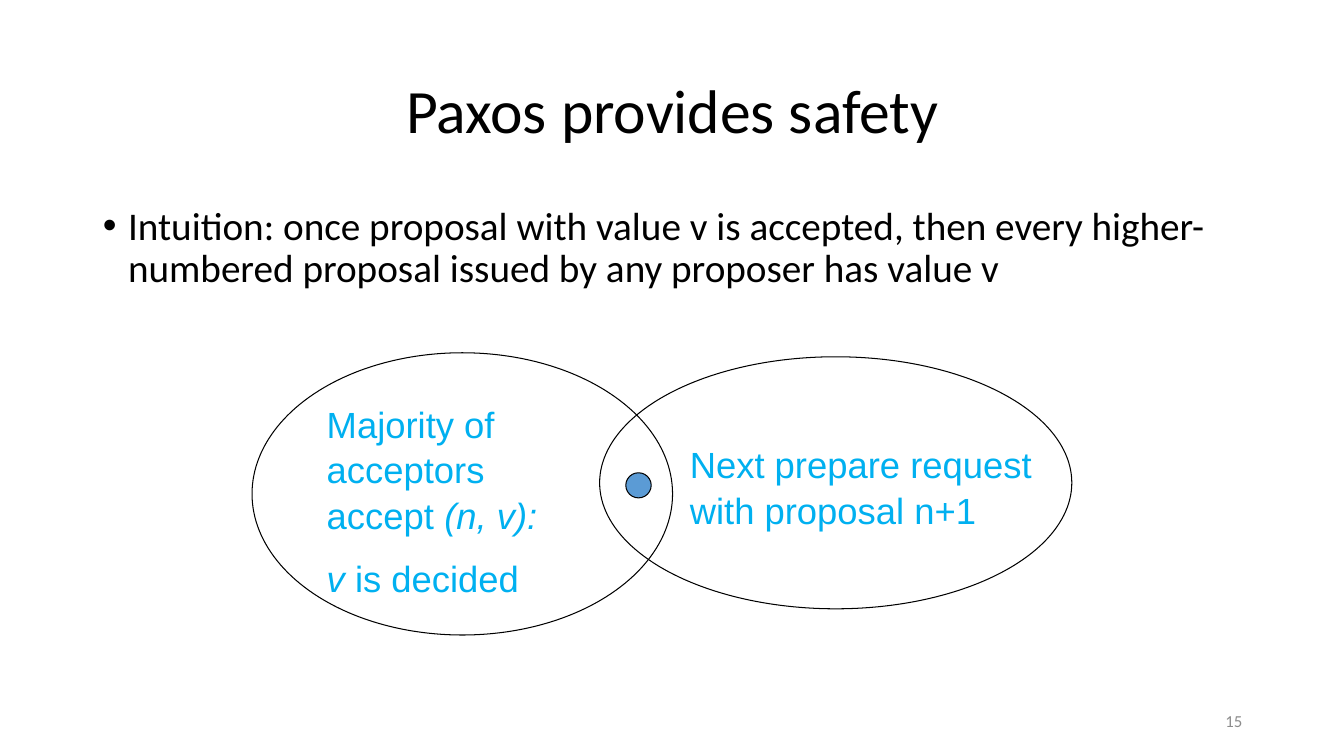
from pptx import Presentation
from pptx.dml.color import RGBColor
from pptx.enum.shapes import MSO_SHAPE
from pptx.enum.text import MSO_ANCHOR, PP_ALIGN
from pptx.util import Inches, Pt

INK = {"black": "000000", "white": "FFFFFF", "sky": "00B0F0", "blue": "5B9BD5", "gray": "8C8C8C"}
HEAD = {"name": "Calibri", "size": Pt(44), "color": "black"}
BODY = {**HEAD, "size": Pt(28)}
NOTE = {"name": "Arial", "size": Pt(26), "color": "sky"}
FOOT = {"name": "Calibri", "size": Pt(12), "color": "gray"}


def put(item, fmt):
    """Set each attribute in a dict of format values."""
    for key, val in fmt.items():
        if key == "color":
            item.color.rgb = RGBColor.from_string(INK[val])
        else:
            setattr(item, key, val)


def place(shape, box):
    """Move a shape to a box in inches."""
    put(shape, dict(zip(("left", "top", "width", "height"), map(Inches, box))))


def write(frame, paras, font, **para):
    """Fill a frame with paragraphs of (text, italic) runs."""
    frame.word_wrap = True
    for i, runs in enumerate(paras):
        line = frame.add_paragraph() if i else frame.paragraphs[0]
        put(line, para)
        for text, slant in runs:
            run = line.add_run()
            run.text = text
            put(run.font, {**font, "italic": slant})


def label(slide, box, paras, font, **para):
    """Add a text box."""
    frame = slide.shapes.add_textbox(*map(Inches, box)).text_frame
    write(frame, paras, font, **para)
    return frame


def oval(slide, box, fill=None):
    """Add a thin black ellipse with an optional fill."""
    shape = slide.shapes.add_shape(MSO_SHAPE.OVAL, *map(Inches, box))
    shape.shadow.inherit = False
    put(shape.line, {"color": "black", "width": Pt(0.75)})
    if fill:
        shape.fill.solid()
        shape.fill.fore_color.rgb = RGBColor.from_string(INK[fill])
    else:
        shape.fill.background()


def title(slide, box):
    """Fill the title placeholder."""
    shape = slide.shapes.title
    place(shape, box)
    shape.text_frame.vertical_anchor = MSO_ANCHOR.MIDDLE
    write(shape.text_frame, [[("Paxos provides safety", False)]], HEAD,
          alignment=PP_ALIGN.CENTER, line_spacing=0.9)


def body(slide, box):
    """Fill the body placeholder with its bullet."""
    shape = slide.placeholders[1]
    place(shape, box)
    text = ("Intuition: once proposal with value v is accepted, then every "
            "higher-numbered proposal issued by any proposer has value v")
    write(shape.text_frame, [[(text, False)]], BODY, line_spacing=0.9, space_before=Pt(10))
    props = shape.text_frame.paragraphs[0]._p.get_or_add_pPr()
    props.set("marL", str(Inches(0.25)))
    props.set("indent", str(-Inches(0.25)))


def venn(slide, box):
    """Draw two overlapping sets with a shared member."""
    left, top, wide, high = box

    def part(x, y, w, h):
        """Turn shares of the box into inches."""
        return left + x * wide, top + y * high, w * wide, h * high

    gap = {"space_before": Pt(13), "line_spacing": 1.04}
    oval(slide, part(0, 0, 0.513, 1), "white")
    label(slide, part(0.079, 0.15, 0.348, 0.74),
          [[("Majority of acceptors accept ", False), ("(n, v):", True)],
           [("v ", True), ("is decided", False)]], NOTE, **gap)
    oval(slide, part(0.424, 0.014, 0.576, 0.893))
    label(slide, part(0.522, 0.293, 0.471, 0.35),
          [[("Next prepare request with proposal n+1", False)]], NOTE, **gap)
    oval(slide, part(0.456, 0.425, 0.031, 0.089), "blue")


def number(slide, box):
    """Add the page number."""
    frame = label(slide, box, [[("15", False)]], FOOT, alignment=PP_ALIGN.RIGHT)
    frame.vertical_anchor = MSO_ANCHOR.MIDDLE


def main():
    """Build and save the slide."""
    deck = Presentation()
    put(deck, {"slide_width": Inches(13.33), "slide_height": Inches(7.5)})
    slide = deck.slides.add_slide(deck.slide_layouts[1])
    title(slide, (0.92, 0.4, 11.5, 1.45))
    body(slide, (0.92, 2, 11.5, 4.76))
    venn(slide, (2.5, 3.5, 8.13, 2.8))
    number(slide, (9.42, 6.95, 3, 0.4))
    deck.save("out.pptx")


main()
